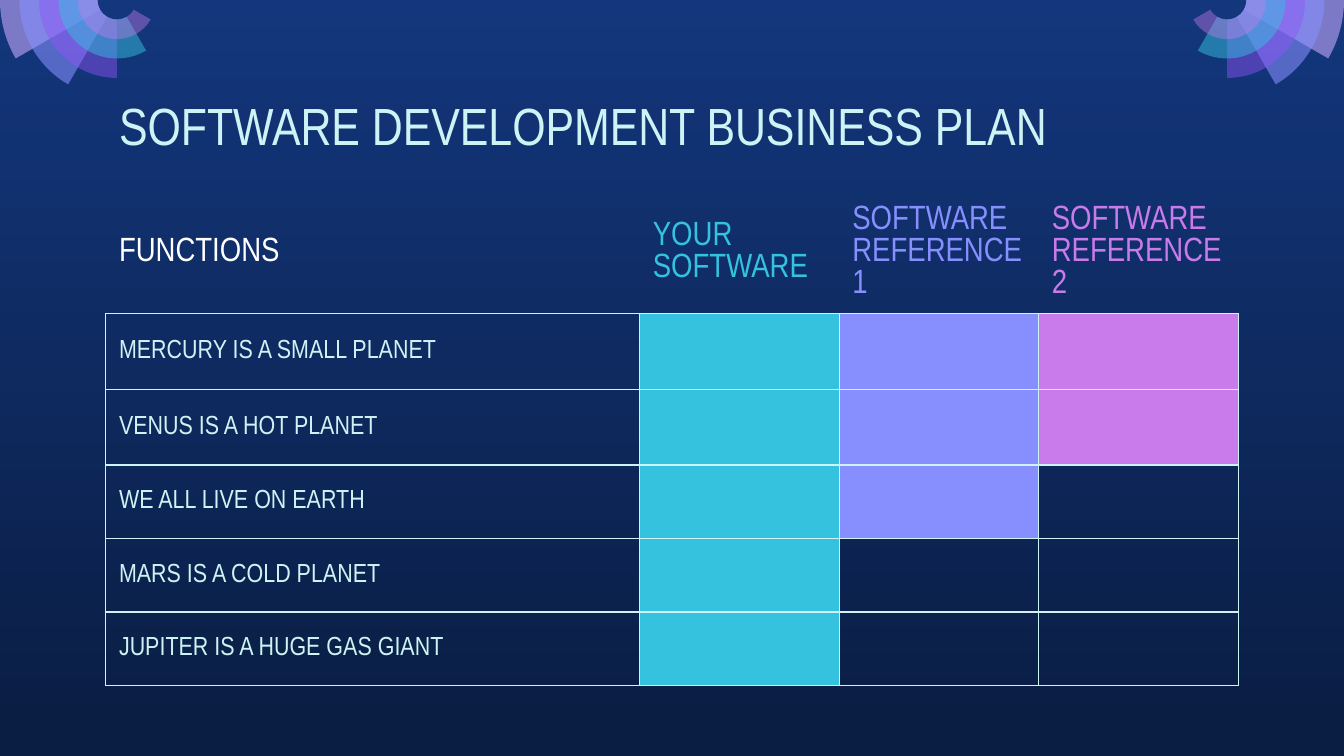
from math import cos, radians, sin, tan

from lxml import etree
from pptx import Presentation
from pptx.dml.color import RGBColor
from pptx.enum.text import MSO_ANCHOR, MSO_AUTO_SIZE, PP_ALIGN
from pptx.oxml.ns import qn
from pptx.util import Cm, Pt

TOP, MIDDLE = MSO_ANCHOR.TOP, MSO_ANCHOR.MIDDLE
LEFT = PP_ALIGN.LEFT
NO_AUTOFIT = MSO_AUTO_SIZE.NONE

FONT = "Arial Narrow"
PALE, WHITE = "CEF3F5", "FFFFFF"
CYAN, VIOLET, ORCHID = "35C2DF", "878FFF", "CA7BEB"
INSET = Cm(0.25)

FAN_RINGS = [("C8ACFD", 58), (VIOLET, 58), ("9154F8", 46), (CYAN, 49), (ORCHID, 42)]
PRODUCTS = [
    ("YOUR SOFTWARE", CYAN, 5),
    ("SOFTWARE REFERENCE 1", VIOLET, 3),
    ("SOFTWARE REFERENCE 2", ORCHID, 2),
]
FUNCTIONS = [
    "MERCURY IS A SMALL PLANET",
    "VENUS IS A HOT PLANET",
    "WE ALL LIVE ON EARTH",
    "MARS IS A COLD PLANET",
    "JUPITER IS A HUGE GAS GIANT",
]


def rgb(value):
    return RGBColor.from_string(value)


def write_text(frame, text, size, color=PALE, leading=0.95, anchor=MIDDLE):
    frame.vertical_anchor = anchor
    frame.word_wrap = True
    paragraph = frame.paragraphs[0]
    paragraph.alignment = LEFT
    paragraph.line_spacing = Pt(size * leading)
    run = paragraph.add_run()
    run.text = text
    run.font.name = FONT
    run.font.size = Pt(size)
    run.font.color.rgb = rgb(color)


def paint_background(slide):
    fill = slide.background.fill
    fill.gradient()
    fill.gradient_angle = 270
    for stop, color in zip(fill.gradient_stops, ("13367C", "0A1D42")):
        stop.color.rgb = rgb(color)


def bend(line, controls, left, top):
    curve = etree.Element(qn("a:cubicBezTo"))
    for x, y in controls:
        etree.SubElement(curve, qn("a:pt"), x=str(x - left), y=str(y - top))
    curve.append(line[0])
    line.getparent().replace(line, curve)


def draw_fan(slide, left, top, radius, mirrored=False):
    center = left + radius
    direction = 1 if mirrored else -1
    step = radius / 6
    fan = slide.shapes.add_group_shape()

    def point(distance, angle, tangent=0):
        x = cos(radians(angle)) - tangent * sin(radians(angle))
        y = sin(radians(angle)) + tangent * cos(radians(angle))
        return round(center + direction * distance * x), round(top + distance * y)

    def controls(distance, start, end):
        reach = 4 / 3 * tan(radians(end - start) / 4)
        return point(distance, start, reach), point(distance, end, -reach)

    for index, (color, opacity) in enumerate(FAN_RINGS):
        sweep = 30 * (index + 1)
        angles = sorted({0, min(sweep, 90), sweep})
        edges = [(radius - index * step, angles), (step, angles[::-1])]
        corners = [point(distance, angle) for distance, turn in edges for angle in turn]
        builder = fan.shapes.build_freeform(*corners[0])
        builder.add_line_segments(corners[1:], close=True)
        ring = builder.convert_to_shape()

        lines = list(ring._element.iter(qn("a:lnTo")))
        for (distance, turn), first in zip(edges, (0, len(angles))):
            for line, start, end in zip(lines[first:], turn, turn[1:]):
                bend(line, controls(distance, start, end), ring.left, ring.top)

        ring.shadow.inherit = False
        ring.line.fill.background()
        ring.fill.solid()
        ring.fill.fore_color.rgb = rgb(color)
        swatch = ring._element.spPr.find(qn("a:solidFill"))[0]
        etree.SubElement(swatch, qn("a:alpha"), val=str(opacity * 1000))


def place_title(slide, left, top, width, height):
    title = slide.shapes.title
    title.left, title.top, title.width, title.height = left, top, width, height
    frame = title.text_frame
    frame.auto_size = NO_AUTOFIT
    frame.margin_left = frame.margin_right = INSET
    frame.margin_top = frame.margin_bottom = INSET
    write_text(frame, "SOFTWARE DEVELOPMENT BUSINESS PLAN", 28, leading=1.21, anchor=TOP)


def set_borders(cell, visible):
    properties = cell._tc.get_or_add_tcPr()
    for position, side in enumerate(("L", "R", "T", "B")):
        line = etree.Element(qn(f"a:ln{side}"), w=str(Pt(0.75)))
        if side in visible:
            fill = etree.SubElement(line, qn("a:solidFill"))
            etree.SubElement(fill, qn("a:srgbClr"), val=PALE)
        else:
            etree.SubElement(line, qn("a:noFill"))
        properties.insert(position, line)


def place_comparison(slide, left, top, width, height):
    rows, columns = len(FUNCTIONS) + 1, len(PRODUCTS) + 1
    table = slide.shapes.add_table(rows, columns, left, top, width, height).table
    table.first_row = table.horz_banding = False

    product_width = Cm(3.77)
    table.columns[0].width = width - product_width * len(PRODUCTS)
    for column in range(1, columns):
        table.columns[column].width = product_width
    for index, row in enumerate(table.rows):
        row.height = Cm(1.43 if index < 3 else 1.39)

    for row in range(rows):
        for column in range(columns):
            cell = table.cell(row, column)
            cell.margin_left = cell.margin_right = INSET
            cell.margin_top = cell.margin_bottom = INSET
            cell.fill.background()
            set_borders(cell, "LRTB" if row else "B")

    def label(row, column, text, size, color):
        cell = table.cell(row, column)
        write_text(cell.text_frame, text, size, color)
        cell.vertical_anchor = MIDDLE

    label(0, 0, "FUNCTIONS", 18, WHITE)
    for row, function in enumerate(FUNCTIONS, start=1):
        label(row, 0, function, 14, PALE)
    for column, (product, color, supported) in enumerate(PRODUCTS, start=1):
        label(0, column, product, 18, color)
        for row in range(1, supported + 1):
            fill = table.cell(row, column).fill
            fill.solid()
            fill.fore_color.rgb = rgb(color)


def main():
    deck = Presentation()
    deck.slide_width, deck.slide_height = Cm(25.4), Cm(14.29)
    slide = deck.slides.add_slide(deck.slide_layouts[5])
    fan_radius = Cm(2.21)
    paint_background(slide)
    draw_fan(slide, 0, 0, fan_radius)
    draw_fan(slide, deck.slide_width - 2 * fan_radius, 0, fan_radius, mirrored=True)
    place_title(slide, Cm(2), Cm(1.5), Cm(21.4), Cm(1.6))
    place_comparison(slide, Cm(2), Cm(3.62), Cm(21.4), Cm(8.46))
    deck.save("out.pptx")


if __name__ == "__main__":
    main()
